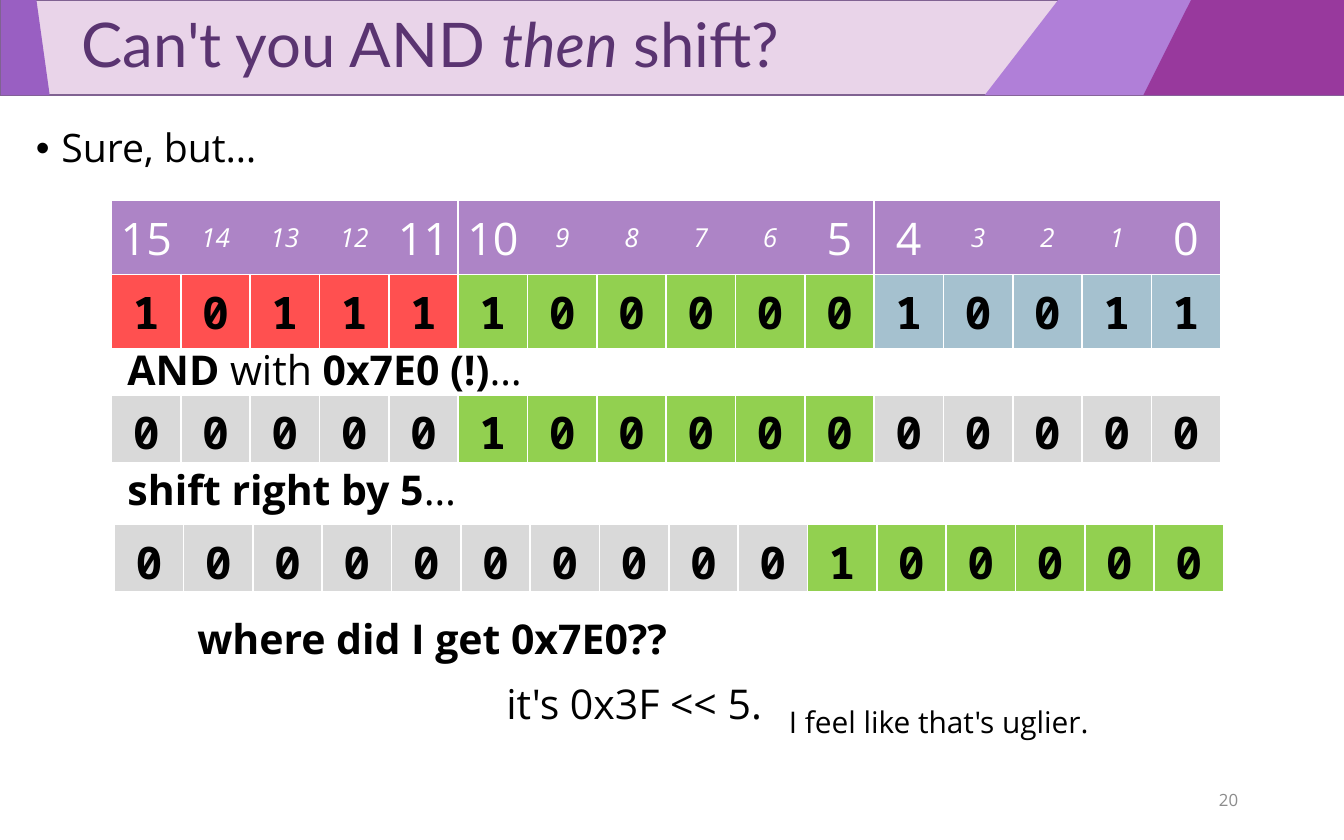
from pptx import Presentation
from pptx.dml.color import RGBColor
from pptx.enum.shapes import MSO_SHAPE
from pptx.enum.text import MSO_ANCHOR, MSO_AUTO_SIZE, PP_ALIGN
from pptx.oxml.ns import qn
from pptx.util import Cm, Pt
from lxml.etree import SubElement

# Colours
BLACK = RGBColor(0x00, 0x00, 0x00)
WHITE = RGBColor(0xFF, 0xFF, 0xFF)
NUMBER_GRAY = RGBColor(0x8C, 0x8C, 0x8C)
TITLE_PURPLE = RGBColor(0x5A, 0x34, 0x71)
BANNER = RGBColor(0xE9, 0xD4, 0xE9)
BANNER_LINE = RGBColor(0x80, 0x62, 0x92)
LILAC = RGBColor(0xB0, 0x7F, 0xD8)
VIOLET = RGBColor(0x99, 0x5F, 0xC2)
PLUM = RGBColor(0x98, 0x39, 0x9D)
HEADER = RGBColor(0xAD, 0x84, 0xC6)
RED = RGBColor(0xFF, 0x50, 0x50)
GREEN = RGBColor(0x92, 0xD0, 0x50)
BLUE = RGBColor(0xA5, 0xC1, 0xCF)
GRAY = RGBColor(0xD9, 0xD9, 0xD9)

BODY_FONT, TITLE_FONT, BIT_FONT = "Open Sans", "Lato", "Noto Sans Mono"

# Content; lengths in centimetres, runs as (text, style)
TITLE = [("Can't you AND ", ""), ("then", "i"), (" shift?", "")]
BANNER_HEIGHT = 1.8
BANNER_PARTS = [
    (LILAC, [(20, 0), (25.4, 0), (25.4, BANNER_HEIGHT), (18.61, BANNER_HEIGHT)]),
    (VIOLET, [(0.02, 0), (0.69, 0), (0.94, BANNER_HEIGHT), (0.02, BANNER_HEIGHT)]),
    (PLUM, [(22.51, 0), (25.4, 0), (25.4, BANNER_HEIGHT), (21.61, BANNER_HEIGHT)]),
]

BIT_COUNT = 16
COLUMN_WIDTH = 1.31
FIELD_ENDS = {15, 11, 10, 5, 4, 0}
FIELD_STARTS, FIELD_STOPS = {15, 10, 4}, {11, 5, 0}

# left, top, row height, has header, fields as (bits, fill)
REGISTERS = [
    (2.11, 3.79, 1.4, True, [("10111", RED), ("100000", GREEN), ("10011", BLUE)]),
    (2.11, 7.47, 1.25, False, [("00000", GRAY), ("100000", GREEN), ("00000", GRAY)]),
    (2.16, 9.91, 1.25, False, [("0000000000", GRAY), ("100000", GREEN)]),
]

# left, top, width, height, size, runs; each box holds one line
TEXTS = [
    (2.16, 6.38, 8.6, 1.19, 22,
     [("AND", "b"), (" with ", ""), ("0x7E0 (!)", "b"), ("…", "")]),
    (2.16, 8.66, 8.6, 1.19, 22, [("shift right by 5", "b"), ("…", "")]),
    (3.48, 11.48, 10.5, 1.19, 22, [("where did I get 0x7E0??", "b")]),
    (9.32, 12.7, 5.6, 1.19, 22, [("it's 0x3F << 5.", "")]),
    (14.66, 13.18, 7.5, 0.94, 16, [("I feel like that's uglier.", "")]),
]


def write(frame, runs, size=22, font=BODY_FONT, color=BLACK, align=PP_ALIGN.LEFT,
          anchor=MSO_ANCHOR.TOP, spacing=None, indent=None, bullet=None):
    """Fill a text frame with one paragraph of formatted runs."""
    frame.word_wrap = True
    frame.vertical_anchor = anchor
    para = frame.paragraphs[0]
    para.alignment = align
    if spacing:
        para.line_spacing = spacing
    if indent:
        properties = para._p.get_or_add_pPr()
        properties.set("marL", str(Cm(indent)))
        properties.set("indent", str(Cm(-indent if bullet else 0)))
        if bullet:
            SubElement(properties, qn("a:buFont"), typeface="Arial")
            SubElement(properties, qn("a:buChar"), char=bullet)
    for text, style in runs:
        span = para.add_run()
        span.text = text
        span.font.name = font
        span.font.size = Pt(size)
        span.font.bold = "b" in style
        span.font.italic = "i" in style
        span.font.color.rgb = color


def add_text(slide, left, top, width, height, size, runs, **style):
    box = slide.shapes.add_textbox(Cm(left), Cm(top), Cm(width), Cm(height))
    write(box.text_frame, runs, size=size, **style)


def paint(shape, fill, line=None):
    shape.shadow.inherit = False
    shape.fill.solid()
    shape.fill.fore_color.rgb = fill
    if line:
        shape.line.color.rgb = line
        shape.line.width = Pt(1)
    else:
        shape.line.fill.background()


def format_cell(cell, fill, borders):
    """Set margins, white borders (width in points per side) and fill."""
    cell.margin_left = cell.margin_right = Cm(0.13)
    cell.margin_top = cell.margin_bottom = Cm(0.13)
    properties = cell._tc.get_or_add_tcPr()
    for side in "LRTB":
        width = borders.get(side, 0)
        line = SubElement(properties, qn("a:ln" + side), w=str(Pt(width)))
        if width:
            solid = SubElement(line, qn("a:solidFill"))
            SubElement(solid, qn("a:srgbClr"), val=str(WHITE))
        else:
            SubElement(line, qn("a:noFill"))
    cell.fill.solid()
    cell.fill.fore_color.rgb = fill


def write_cell(cell, text, anchor, **style):
    write(cell.text_frame, [text], align=PP_ALIGN.CENTER, **style)
    cell.text_frame.word_wrap = None
    cell.vertical_anchor = anchor


def add_register(slide, left, top, row_height, has_header, fields):
    rows = 2 if has_header else 1
    table = slide.shapes.add_table(rows, BIT_COUNT, Cm(left), Cm(top),
                                   Cm(COLUMN_WIDTH * BIT_COUNT), Cm(row_height * rows)).table
    table.first_row = has_header
    table.horz_banding = False
    for column in table.columns:
        column.width = Cm(COLUMN_WIDTH)
    for row in table.rows:
        row.height = Cm(row_height)

    # Bit numbers, larger at both ends of each field
    if has_header:
        for index in range(BIT_COUNT):
            bit = BIT_COUNT - 1 - index
            at_end = bit in FIELD_ENDS
            cell = table.cell(0, index)
            format_cell(cell, HEADER, {"T": 1, "B": 1, "L": int(bit in FIELD_STARTS),
                                       "R": int(bit in FIELD_STOPS)})
            write_cell(cell, (str(bit), "" if at_end else "i"), MSO_ANCHOR.MIDDLE,
                       size=24 if at_end else 14, color=WHITE)

    # Bit values, coloured by field
    values = [(bit, fill) for bits, fill in fields for bit in bits]
    for index, (bit, fill) in enumerate(values):
        cell = table.cell(rows - 1, index)
        format_cell(cell, fill, dict.fromkeys("LRTB", 1))
        write_cell(cell, (bit, "b"), MSO_ANCHOR.TOP, size=24, font=BIT_FONT)


def main():
    deck = Presentation()
    deck.slide_width, deck.slide_height = Cm(25.4), Cm(15.88)
    slide = deck.slides.add_slide(deck.slide_layouts[5])

    # Banner
    banner = slide.shapes.add_shape(MSO_SHAPE.RECTANGLE, 0, 0, Cm(25.4), Cm(BANNER_HEIGHT))
    paint(banner, BANNER, BANNER_LINE)
    for fill, points in BANNER_PARTS:
        corners = [(Cm(x), Cm(y)) for x, y in points]
        builder = slide.shapes.build_freeform(*corners[0], scale=1.0)
        builder.add_line_segments(corners[1:], close=True)
        paint(builder.convert_to_shape(), fill)

    # Title, raised above the banner
    title = slide.shapes.title
    title.left, title.top = Cm(0.02), Cm(0)
    title.width, title.height = Cm(25.38), Cm(BANNER_HEIGHT)
    title.text_frame.auto_size = MSO_AUTO_SIZE.NONE
    write(title.text_frame, TITLE, size=33, font=TITLE_FONT, color=TITLE_PURPLE,
          anchor=MSO_ANCHOR.MIDDLE, spacing=0.9, indent=1.27)
    slide.shapes._spTree.append(title._element)

    # Opening bullet and slide number
    add_text(slide, 0.43, 2.31, 24.97, 1.47, 21, [("Sure, but…", "")],
             spacing=0.9, indent=0.48, bullet="•")
    add_text(slide, 17.93, 14.71, 5.72, 0.84, 9, [("20", "")], color=NUMBER_GRAY,
             align=PP_ALIGN.RIGHT, anchor=MSO_ANCHOR.MIDDLE)

    # Registers, then the steps and remarks around them
    for register in REGISTERS:
        add_register(slide, *register)
    for text in TEXTS:
        add_text(slide, *text)

    deck.save("out.pptx")


if __name__ == "__main__":
    main()
